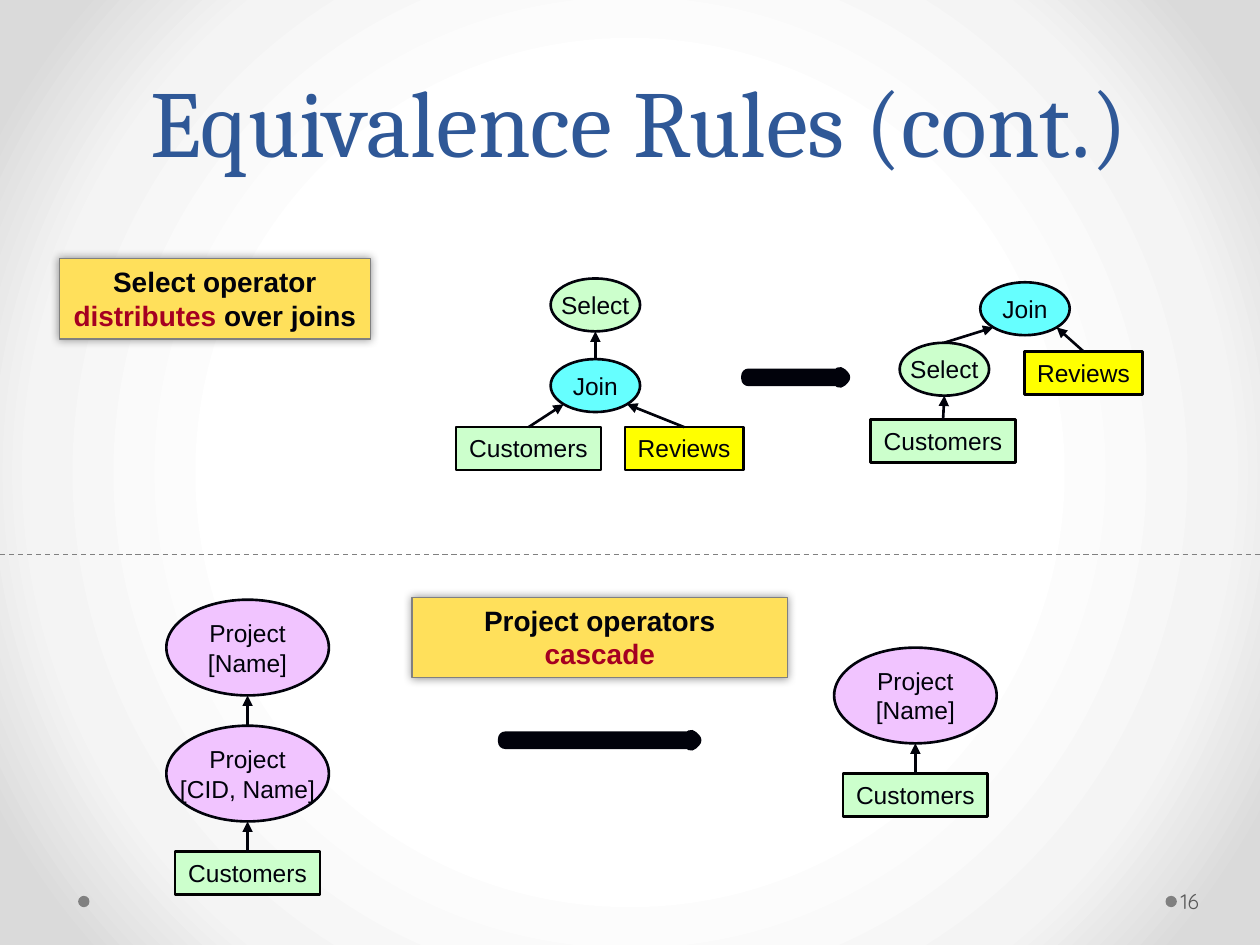
from dataclasses import dataclass
from math import sqrt

from lxml.etree import SubElement
from pptx import Presentation
from pptx.dml.color import RGBColor
from pptx.enum.dml import MSO_LINE
from pptx.enum.shapes import MSO_CONNECTOR, MSO_SHAPE
from pptx.enum.text import MSO_ANCHOR, MSO_AUTO_SIZE, PP_ALIGN
from pptx.oxml import parse_xml
from pptx.oxml.ns import nsdecls, qn
from pptx.util import Inches, Pt


@dataclass(frozen=True)
class Theme:
    title_font: str = "Cambria"
    label_font: str = "Arial"
    number_font: str = "Quicksand"
    title_size: float = 54
    callout_size: float = 16
    label_size: float = 14
    number_size: float = 12
    title: str = "2F5897"
    ink: str = "01020B"
    outline: str = "000000"
    gray: str = "808080"
    number: str = "595959"
    accent: str = "A50021"
    callout: str = "FFE05B"
    project: str = "F1C4FF"
    green: str = "CCFFCC"
    cyan: str = "66FFFF"
    yellow: str = "FFFF00"
    arrow: str = "6076B4"
    background: tuple = ((50, "FFFFFF"), (76, "F4F4F4"), (92, "DADADA"))


DIAGONAL = sqrt(2) / 4
ELLIPSE_POINTS = {
    "bottom": (0.5, 1),
    "bottom left": (0.5 - DIAGONAL, 0.5 + DIAGONAL),
    "bottom right": (0.5 + DIAGONAL, 0.5 + DIAGONAL),
}


def write(paragraph, text, *, font, size, color, bold=False, align=PP_ALIGN.CENTER):
    paragraph.alignment = align
    for index, line in enumerate(text.split("\n")):
        if index:
            paragraph.add_line_break()
        run = paragraph.add_run()
        run.text = line
        run.font.name = font
        run.font.size = Pt(size)
        run.font.bold = bold
        run.font.color.rgb = RGBColor.from_string(color)


class SlideBuilder:
    def __init__(self, slide, theme):
        self.slide = slide
        self.theme = theme

    def background(self):
        stops = "".join(
            f'<a:gs pos="{position * 1000}"><a:srgbClr val="{color}"/></a:gs>'
            for position, color in self.theme.background
        )
        background = parse_xml(
            f'<p:bg {nsdecls("p", "a")}><p:bgPr><a:gradFill rotWithShape="1">'
            f'<a:gsLst>{stops}</a:gsLst><a:path path="circle">'
            '<a:fillToRect l="50000" t="50000" r="50000" b="50000"/></a:path>'
            "</a:gradFill><a:effectLst/></p:bgPr></p:bg>"
        )
        self.slide.element.cSld.insert(0, background)

    def title(self, text):
        title = self.slide.shapes.title
        title.left, title.top = Inches(0.57), Inches(0.45)
        title.width, title.height = Inches(9), Inches(1)
        frame = title.text_frame
        frame.auto_size = MSO_AUTO_SIZE.NONE
        frame.vertical_anchor = MSO_ANCHOR.BOTTOM
        paragraph = frame.paragraphs[0]
        paragraph.line_spacing = Pt(58)
        write(paragraph, text, font=self.theme.title_font,
              size=self.theme.title_size, color=self.theme.title)

    def shape(self, kind, left, top, width, height, fill, line=None, weight=1.5):
        shape = self.slide.shapes.add_shape(
            kind, Inches(left), Inches(top), Inches(width), Inches(height))
        shape.shadow.inherit = False
        shape.fill.solid()
        shape.fill.fore_color.rgb = RGBColor.from_string(fill)
        if line:
            shape.line.color.rgb = RGBColor.from_string(line)
            shape.line.width = Pt(weight)
        else:
            shape.line.fill.background()
        return shape

    def dot(self, left):
        self.shape(MSO_SHAPE.OVAL, left, 7.11, 0.09, 0.09, self.theme.gray)

    def page_number(self, text):
        box = self.slide.shapes.add_textbox(
            Inches(9.34), Inches(6.95), Inches(0.61), Inches(0.4))
        frame = box.text_frame
        frame.word_wrap = True
        frame.margin_left = Inches(0.03)
        frame.margin_right = Inches(0.05)
        frame.vertical_anchor = MSO_ANCHOR.MIDDLE
        write(frame.paragraphs[0], text, font=self.theme.number_font,
              size=self.theme.number_size, color=self.theme.number, align=PP_ALIGN.LEFT)

    def label(self, shape, text, anchor):
        frame = shape.text_frame
        frame.word_wrap = False
        frame.vertical_anchor = anchor
        write(frame.paragraphs[0], text, font=self.theme.label_font,
              size=self.theme.label_size, color=self.theme.ink)
        return shape

    def operator(self, text, left, top, fill, width=0.71, height=0.42):
        ellipse = self.shape(MSO_SHAPE.OVAL, left, top, width, height, fill, self.theme.ink)
        return self.label(ellipse, text, MSO_ANCHOR.MIDDLE)

    def project(self, columns, left, top):
        return self.operator(f"Project\n{columns}", left, top, self.theme.project, 1.29, 0.76)

    def relation(self, text, left, top, fill, width):
        box = self.shape(MSO_SHAPE.RECTANGLE, left, top, width, 0.34, fill, self.theme.outline)
        return self.label(box, text, MSO_ANCHOR.TOP)

    def customers(self, left, top):
        return self.relation("Customers", left, top, self.theme.green, 1.15)

    def reviews(self, left, top):
        return self.relation("Reviews", left, top, self.theme.yellow, 0.94)

    def callout(self, paragraphs, left, top, width):
        box = self.shape(MSO_SHAPE.RECTANGLE, left, top, width, 0.64,
                         self.theme.callout, self.theme.gray, 0.75)
        effects = box.element.spPr.find(qn("a:effectLst"))
        shadow = SubElement(effects, qn("a:outerShdw"), blurRad=str(Pt(5)), dist="0", dir="0")
        color = SubElement(shadow, qn("a:srgbClr"), val="000000")
        SubElement(color, qn("a:alpha"), val="40000")
        frame = box.text_frame
        frame.word_wrap = True
        frame.vertical_anchor = MSO_ANCHOR.TOP
        for index, runs in enumerate(paragraphs):
            paragraph = frame.add_paragraph() if index else frame.paragraphs[0]
            for text, color in runs:
                write(paragraph, text, font=self.theme.label_font,
                      size=self.theme.callout_size, color=color, bold=True)

    def equivalence(self, left, top, width):
        arrow = self.shape(MSO_SHAPE.RIGHT_ARROW, left, top, width, 0.05,
                           self.theme.arrow, self.theme.ink, 8.25)
        SubElement(arrow.line._get_or_add_ln(), qn("a:round"))

    def line(self, begin, end, color, weight):
        connector = self.slide.shapes.add_connector(MSO_CONNECTOR.STRAIGHT, *begin, *end)
        connector.line.color.rgb = RGBColor.from_string(color)
        connector.line.width = Pt(weight)
        SubElement(connector.element.spPr, qn("a:effectLst"))
        return connector

    def feed(self, source, target, point="bottom"):
        across, down = ELLIPSE_POINTS[point]
        begin = (source.left + source.width // 2, source.top)
        end = (target.left + int(target.width * across), target.top + int(target.height * down))
        connector = self.line(begin, end, self.theme.ink, 1.5)
        connector.begin_connect(source, 0)
        SubElement(connector.line._get_or_add_ln(), qn("a:tailEnd"), type="triangle")

    def divider(self, top):
        connector = self.line((0, Inches(top)), (Inches(10), Inches(top)), self.theme.gray, 0.75)
        connector.line.dash_style = MSO_LINE.DASH


def main():
    presentation = Presentation()
    presentation.slide_width, presentation.slide_height = Inches(10), Inches(7.5)
    theme = Theme()
    builder = SlideBuilder(presentation.slides.add_slide(presentation.slide_layouts[5]), theme)
    builder.background()
    builder.title("Equivalence Rules (cont.)")
    for left in (9.25, 0.62):
        builder.dot(left)
    builder.page_number("16")

    builder.callout([[("Select operator ", theme.ink), ("distributes ", theme.accent),
                      ("over joins", theme.ink)]], 0.47, 2.05, 2.47)
    select = builder.operator("Select", 4.37, 2.21, theme.green)
    join = builder.operator("Join", 4.37, 2.85, theme.cyan)
    builder.feed(join, select)
    builder.feed(builder.customers(3.62, 3.39), join, "bottom left")
    builder.feed(builder.reviews(4.96, 3.39), join, "bottom right")

    builder.equivalence(5.94, 2.97, 0.75)

    join = builder.operator("Join", 7.78, 2.24, theme.cyan)
    select = builder.operator("Select", 7.14, 2.72, theme.green)
    builder.feed(select, join, "bottom left")
    builder.feed(builder.customers(6.91, 3.33), select)
    builder.feed(builder.reviews(8.13, 2.79), join, "bottom right")

    builder.divider(4.4)

    outer_project = builder.project("[Name]", 1.32, 4.76)
    inner_project = builder.project("[CID, Name]", 1.32, 5.76)
    builder.feed(inner_project, outer_project)
    builder.feed(builder.customers(1.39, 6.76), inner_project)

    builder.callout([[("Project operators", theme.ink)], [("cascade", theme.accent)]],
                    3.27, 4.74, 2.98)
    builder.equivalence(4.01, 5.85, 1.5)

    single_project = builder.project("[Name]", 6.62, 5.14)
    builder.feed(builder.customers(6.69, 6.14), single_project)

    presentation.save("out.pptx")


if __name__ == "__main__":
    main()
